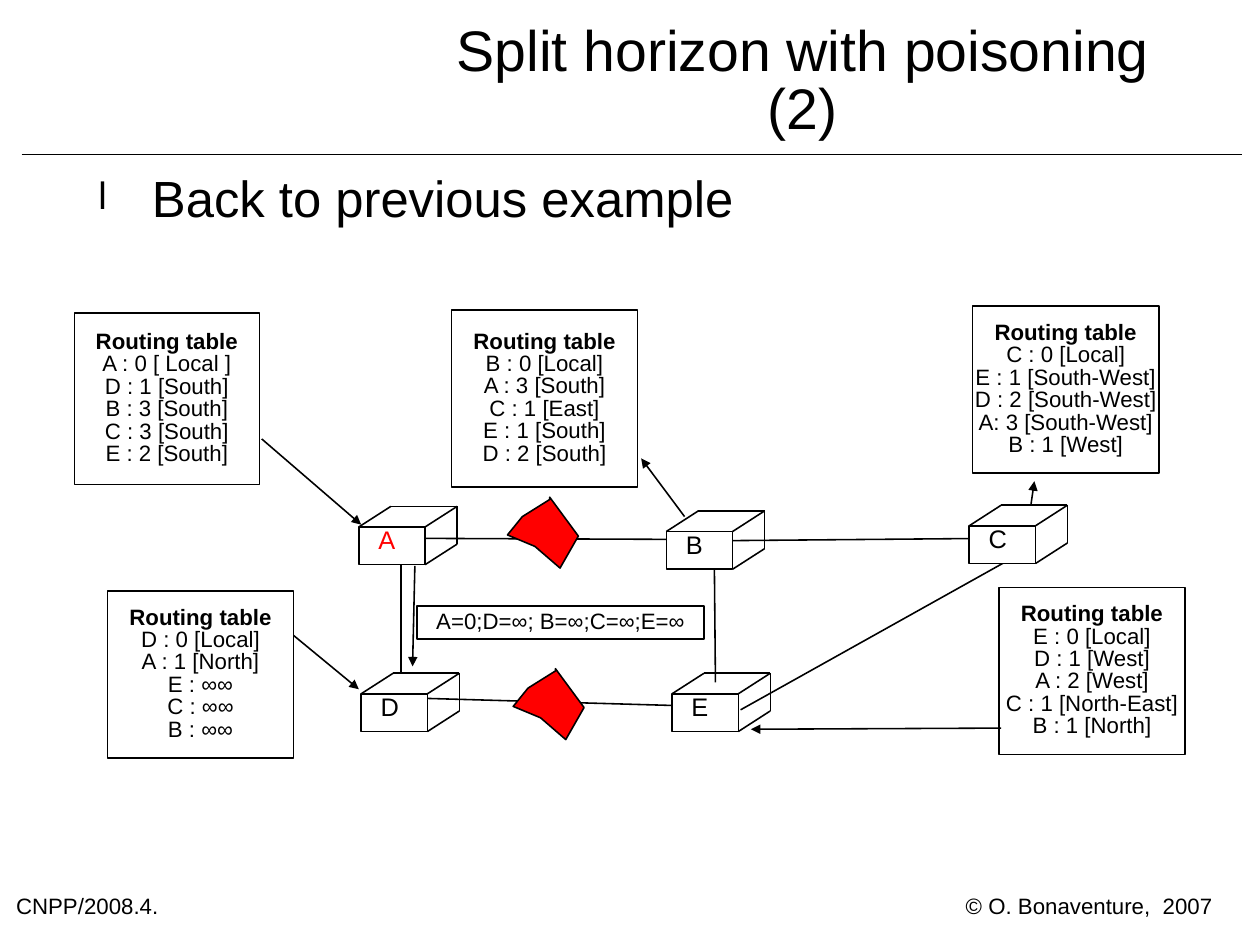
from lxml.etree import SubElement
from pptx import Presentation
from pptx.dml.color import RGBColor
from pptx.enum.shapes import MSO_CONNECTOR, MSO_SHAPE
from pptx.enum.text import MSO_ANCHOR, MSO_AUTO_SIZE, PP_ALIGN
from pptx.oxml.ns import qn
from pptx.util import Inches, Pt

COLORS = {"ink": "000000", "paper": "FFFFFF", "alert": "FF0000"}
RGB = {name: RGBColor.from_string(value) for name, value in COLORS.items()}

prs = Presentation()
prs.slide_width, prs.slide_height = Pt(793.75), Pt(595.25)
s = prs.slides.add_slide(prs.slide_layouts[1])


def write(tf, lines, size, align=PP_ALIGN.LEFT, anchor=MSO_ANCHOR.TOP,
          color="ink", bold_first=False, left=0, top=0, wrap=True):
    frame_format = {"margin_left": Inches(left), "margin_top": Inches(top),
                    "margin_right": 0, "margin_bottom": 0, "word_wrap": wrap,
                    "vertical_anchor": anchor, "auto_size": MSO_AUTO_SIZE.NONE}
    for name, value in frame_format.items():
        setattr(tf, name, value)
    for i, line in enumerate(lines):
        p = tf.add_paragraph() if i else tf.paragraphs[0]
        p.alignment, p.line_spacing, p.space_before = align, 0.84, Pt(0)
        r = p.add_run()
        r.text = line
        run_format = {"name": "Arial", "size": Pt(size),
                      "bold": bold_first and i == 0}
        for name, value in run_format.items():
            setattr(r.font, name, value)
        r.font.color.rgb = RGB[color]


def connect(x1, y1, x2, y2, arrow=False):
    line = s.shapes.add_connector(MSO_CONNECTOR.STRAIGHT, Inches(x1), Inches(y1),
                                  Inches(x2), Inches(y2))
    line.line.color.rgb = RGB["ink"]
    line.line.width = Pt(1)
    if arrow:
        SubElement(line.line._get_or_add_ln(), qn("a:tailEnd"), type="triangle")
    SubElement(line._element.spPr, qn("a:effectLst"))


title, body = s.shapes.title, s.placeholders[1]
for sp, box in ((title, (3.73, 0, 6.59, 1.46)), (body, (0.78, 1.54, 9.41, 6.72))):
    sp.left, sp.top, sp.width, sp.height = map(Inches, box)
write(title.text_frame, ["Split horizon with poisoning (2)"], 36,
      PP_ALIGN.CENTER, MSO_ANCHOR.MIDDLE)
write(body.text_frame, ["Back to previous example"], 32)
pPr = body.text_frame.paragraphs[0]._p.get_or_add_pPr()
pPr.set("marL", str(Inches(0.55)))
pPr.set("indent", str(Inches(-0.47)))
SubElement(SubElement(pPr, qn("a:buClr")), qn("a:srgbClr"), val=COLORS["ink"])
SubElement(pPr, qn("a:buSzPct"), val="75000")
SubElement(pPr, qn("a:buFont"), typeface="Arial")
SubElement(pPr, qn("a:buChar"), char="l")

connect(0.19, 1.35, 10.87, 1.35)
footers = [("CNPP/2008.4.", 0.14, 1.68), ("© O. Bonaventure,  2007", 8.45, 2.16)]
for text, x, w in footers:
    sp = s.shapes.add_textbox(Inches(x), Inches(7.84), Inches(w), Inches(0.24))
    write(sp.text_frame, [text], 14, wrap=False)

links = [(3.51, 4.93, 3.51, 5.89), (3.73, 6.11, 6.17, 6.18),
         (3.68, 4.71, 6.14, 4.72), (6.25, 4.91, 6.26, 5.97),
         (6.48, 6.21, 8.79, 4.92), (6.36, 4.73, 8.68, 4.71)]
for link in links:
    connect(*link)

FACE_W, FACE_H, DX, DY = 0.58, 0.33, 0.28, -0.18
edges = [(0, 0, DX, DY), (FACE_W, 0, FACE_W + DX, DY),
         (FACE_W, FACE_H, FACE_W + DX, FACE_H + DY),
         (DX, DY, FACE_W + DX, DY),
         (FACE_W + DX, DY, FACE_W + DX, FACE_H + DY)]
routers = [("A", 3.14, 4.61, "alert"), ("B", 5.83, 4.65, "ink"),
           ("C", 8.48, 4.6, "ink"), ("D", 3.16, 6.07, "ink"),
           ("E", 5.88, 6.07, "ink")]
for name, x, y, color in routers:
    face = s.shapes.add_shape(MSO_SHAPE.ROUNDED_RECTANGLE, Inches(x), Inches(y),
                              Inches(FACE_W), Inches(FACE_H))
    face.adjustments[0] = 0
    face.shadow.inherit = False
    face.fill.solid()
    face.fill.fore_color.rgb = RGB["paper"]
    face.line.color.rgb = RGB["ink"]
    face.line.width = Pt(1)
    write(face.text_frame, [name], 16, color=color, left=0.17, top=0.02, wrap=False)
    for x1, y1, x2, y2 in edges:
        connect(x + x1, y + y1, x + x2, y + y2)

break_outline = [(4.81, 4.35), (5.06, 4.69), (4.9, 4.97), (4.68, 4.78),
                 (4.44, 4.68), (4.57, 4.52), (4.81, 4.37)]
for dx, dy in ((0, 0), (0.05, 1.5)):
    points = [(Inches(x + dx), Inches(y + dy)) for x, y in break_outline]
    fb = s.shapes.build_freeform(*points[0])
    fb.add_line_segments(points[1:], close=True)
    sp = fb.convert_to_shape()
    sp.shadow.inherit = False
    sp.fill.solid()
    sp.fill.fore_color.rgb = RGB["alert"]
    sp.line.color.rgb = RGB["ink"]
    sp.line.width = Pt(1)

HEADING = "Routing table"
boxes = [
    (0.65, 2.74, 1.62, 1.5, [HEADING, "A : 0 [ Local ]", "D : 1 [South]",
                             "B : 3 [South]", "C : 3 [South]", "E : 2 [South]"]),
    (3.95, 2.71, 1.63, 1.55, [HEADING, "B : 0 [Local]", "A : 3 [South]",
                              "C : 1 [East]", "E : 1 [South]", "D : 2 [South]"]),
    (8.51, 2.68, 1.63, 1.46, [HEADING, "C : 0 [Local]", "E : 1 [South-West]",
                              "D : 2 [South-West]", "A: 3 [South-West]",
                              "B : 1 [West]"]),
    (0.94, 5.17, 1.63, 1.46, [HEADING, "D : 0 [Local]", "A : 1 [North]",
                              "E : ∞∞", "C : ∞∞", "B : ∞∞"]),
    (8.74, 5.14, 1.63, 1.46, [HEADING, "E : 0 [Local]", "D : 1 [West]",
                              "A : 2 [West]", "C : 1 [North-East]",
                              "B : 1 [North]"]),
    (3.65, 5.3, 2.51, 0.29, ["A=0;D=∞; B=∞;C=∞;E=∞"]),
]
for x, y, w, h, lines in boxes:
    sp = s.shapes.add_shape(MSO_SHAPE.ROUNDED_RECTANGLE, Inches(x), Inches(y),
                            Inches(w), Inches(h))
    sp.adjustments[0] = 0
    sp.shadow.inherit = False
    sp.fill.background()
    sp.line.color.rgb = RGB["ink"]
    sp.line.width = Pt(1)
    write(sp.text_frame, lines, 14, PP_ALIGN.CENTER, MSO_ANCHOR.MIDDLE,
          bold_first=lines[0] == HEADING, wrap=False)

arrows = [(2.29, 3.84, 3.16, 4.59), (5.99, 4.52, 5.61, 4.01),
          (9.02, 4.42, 9.05, 4.21), (2.57, 5.56, 3.14, 6.03),
          (8.76, 6.37, 6.57, 6.38), (3.63, 4.95, 3.61, 5.83)]
for arrow in arrows:
    connect(*arrow, arrow=True)

prs.save("out.pptx")
